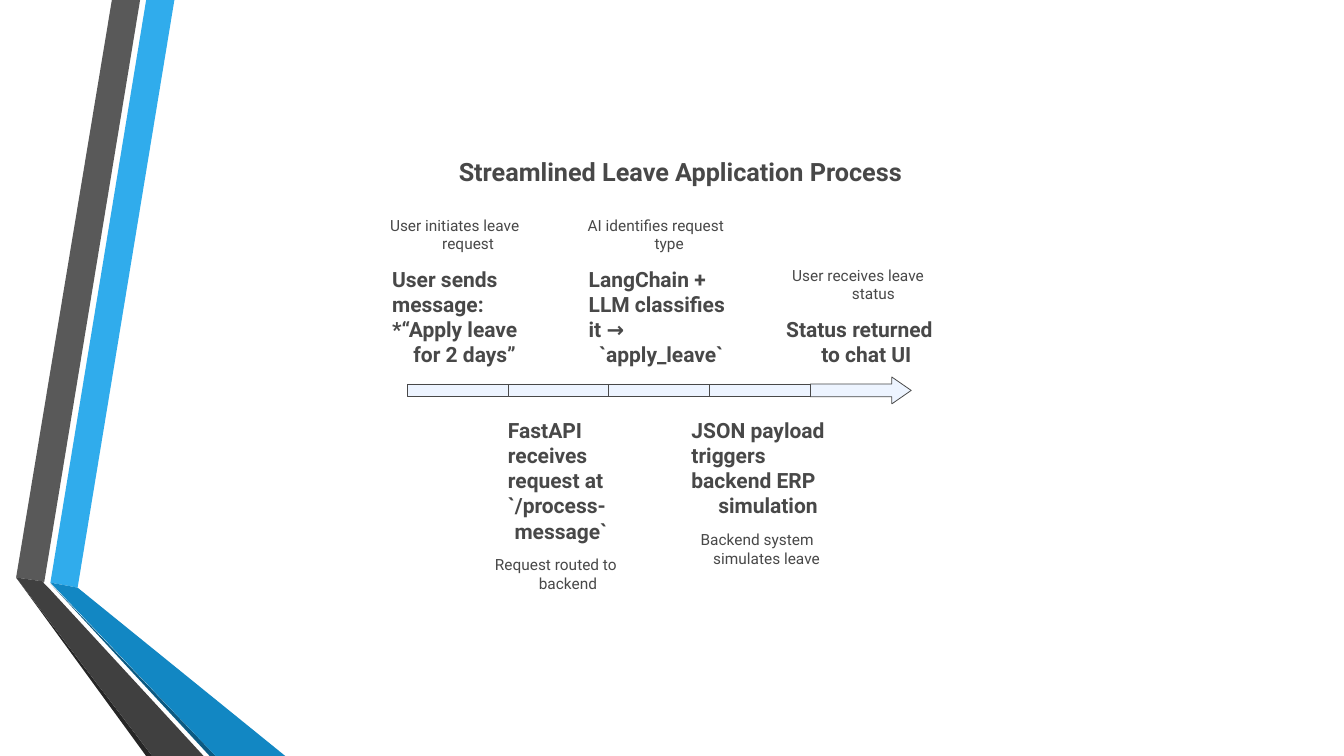
from pptx import Presentation
from pptx.dml.color import RGBColor
from pptx.enum.shapes import MSO_SHAPE
from pptx.enum.text import PP_ALIGN
from pptx.util import Inches, Pt

COLORS = {
    "ink": "484848", "pale": "EDF4FF",
    "sky": "30ACEC", "blue": "1287C3", "navy": "0C5A82",
    "gray": "595959", "dark": "404040", "black": "262626",
}
COLS, ROWS = 80, 45
FONT = "Roboto"
HEAD, NOTE, TITLE = 15, 11, 18
LINE = 0.1

RIBBONS = [
    ("sky", [(3, 34.68), (4.62, 34.98), (10.38, 0), (8.7, 0)]),
    ("gray", [(8.34, 0), (6.66, 0), (0.96, 34.38), (2.64, 34.62)]),
    ("black", [(0.96, 34.38), (8.7, 45), (9.06, 45)]),
    ("navy", [(3, 34.74), (12.48, 45), (12.84, 45)]),
    ("blue", [(3, 34.68), (12.84, 45), (16.98, 45), (4.62, 34.98)]),
    ("dark", [(12.12, 45), (2.88, 34.98), (2.58, 34.68), (2.64, 34.62),
              (0.96, 34.38), (9.06, 45)]),
]

ABOVE = [
    (23.34, 8.64, ["User sends", "message:", "*“Apply leave", "for 2 days”"],
     23.22, 9.3, ["User initiates leave", "request"]),
    (35.04, 8.64, ["LangChain +", "LLM classifies", "it →", "`apply_leave`"],
     34.98, 9.72, ["AI identifies request", "type"]),
    (46.8, 9.54, ["Status returned", "to chat UI"],
     47.16, 9.66, ["User receives leave", "status"]),
]
BELOW = [
    (30.24, 6.3, ["FastAPI", "receives", "request at", "`/process-", "message`"],
     29.46, 8.7, ["Request routed to", "backend"]),
    (41.16, 9.12, ["JSON payload", "triggers", "backend ERP", "simulation"],
     41.7, 7.86, ["Backend system", "simulates leave"]),
]


class Board:
    def __init__(self, deck):
        self.slide = deck.slides.add_slide(deck.slide_layouts[6])
        self.shapes = self.slide.shapes
        self.wide = deck.slide_width / COLS
        self.high = deck.slide_height / ROWS

    def place(self, col, row):
        return round(col * self.wide), round(row * self.high)

    def color(self, name):
        return RGBColor.from_string(COLORS[name])

    def paint(self, shape, fill, line=None):
        shape.shadow.inherit = False
        shape.fill.solid()
        shape.fill.fore_color.rgb = self.color(fill)
        if line:
            shape.line.color.rgb = self.color(line)
            shape.line.width = Pt(0.56)
        else:
            shape.line.fill.background()

    def ribbon(self, fill, points):
        first, *rest = [self.place(*point) for point in points]
        path = self.shapes.build_freeform(*first)
        path.add_line_segments(rest, close=True)
        self.paint(path.convert_to_shape(), fill)

    def block(self, kind, col, row, width, height):
        shape = self.shapes.add_shape(
            kind, *self.place(col, row), *self.place(width, height))
        self.paint(shape, "pale", "ink")
        return shape

    def text(self, col, row, width, lines, size, bold=False):
        height = len(lines) * size * LINE
        box = self.shapes.add_textbox(
            *self.place(col, row), *self.place(width, height))
        frame = box.text_frame
        frame.word_wrap = True
        frame.margin_left = frame.margin_right = 0
        frame.margin_top = frame.margin_bottom = 0
        for spot, line in enumerate(lines):
            para = frame.paragraphs[0] if spot == 0 else frame.add_paragraph()
            last = spot == len(lines) - 1
            para.alignment = PP_ALIGN.CENTER if last else PP_ALIGN.LEFT
            run = para.add_run()
            run.text = line
            run.font.name = FONT
            run.font.size = Pt(size)
            run.font.bold = bold
            run.font.color.rgb = self.color("ink")


def main():
    deck = Presentation()
    deck.slide_width, deck.slide_height = Inches(13.33), Inches(7.5)
    board = Board(deck)

    for fill, points in RIBBONS:
        board.ribbon(fill, points)

    start, step = 24.24, 6
    for spot in range(4):
        board.block(MSO_SHAPE.RECTANGLE, start + spot * step, 22.86, step, 0.76)
    arrow = board.block(MSO_SHAPE.RIGHT_ARROW, start + 4 * step, 22.44, step, 1.6)
    arrow.adjustments[0] = 0.48
    arrow.adjustments[1] = 0.72

    board.text(25.5, 9.3, 30, ["Streamlined Leave Application Process"], TITLE, True)
    for col, width, head, left, span, note in ABOVE:
        top = 21.84 - len(head) * HEAD * LINE
        board.text(col, top, width, head, HEAD, True)
        board.text(left, top - 3, span, note, NOTE)
    for col, width, head, left, span, note in BELOW:
        top = 24.84
        board.text(col, top, width, head, HEAD, True)
        board.text(left, top + len(head) * HEAD * LINE + 0.72, span, note, NOTE)

    deck.save("out.pptx")


if __name__ == "__main__":
    main()
